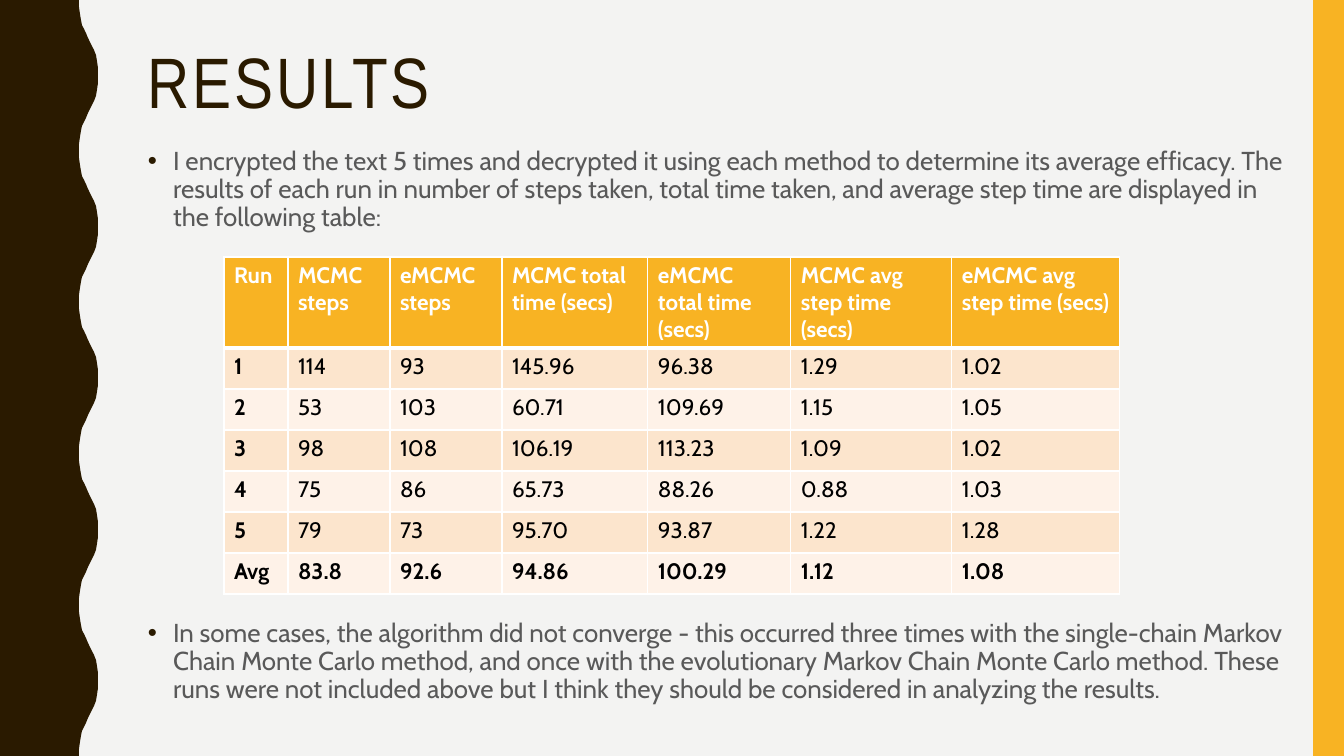
"""Build the results slide: wavy side band, two bullets and a table of runs."""
import pptx
import pptx.util
import pptx.dml.color
import pptx.enum.shapes
import pptx.enum.text
import pptx.oxml
import pptx.oxml.ns

RGB = pptx.dml.color.RGBColor
BROWN = RGB(0x2A, 0x1A, 0x00)
GOLD = RGB(0xF8, 0xB3, 0x23)
PAPER = RGB(0xF3, 0xF3, 0xF2)
GREY = RGB(0x59, 0x59, 0x59)
PEACH = RGB(0xFC, 0xE5, 0xCD)
CREAM = RGB(0xFE, 0xF2, 0xE8)
WHITE = RGB(0xFF, 0xFF, 0xFF)
BLACK = RGB(0x00, 0x00, 0x00)
PX = 914400 / 100.8
Pt = pptx.util.Pt
NS = pptx.oxml.ns.nsdecls("a")


def px(*sizes):
    return [round(size * PX) for size in sizes]


def add_text(left, top, width, height):
    frame = slide.shapes.add_textbox(*px(left, top, width, height)).text_frame
    frame.word_wrap = True
    frame.vertical_anchor = pptx.enum.text.MSO_ANCHOR.TOP
    return frame


deck = pptx.Presentation()
deck.slide_width, deck.slide_height = px(1344, 756)
slide = deck.slides.add_slide(deck.slide_layouts[6])
slide.background.fill.solid()
slide.background.fill.fore_color.rgb = PAPER

half = [(79, 0), (79, 7), (80, 14), (81, 20), (82, 25), (84, 29), (86, 33),
        (88, 38), (90, 42), (92, 46), (94, 50), (96, 55), (97, 61), (98, 68)]
wave = half + [(98, 76)] + [(x, 151 - y) for x, y in reversed(half[1:])]
edge = [(x, y + round(turn * 756 / 5)) for turn in range(5) for x, y in wave]
pen = slide.shapes.build_freeform(0, 0, scale=PX)
pen.add_line_segments(edge + [(79, 756), (0, 756)], close=True)
band = pen.convert_to_shape()
bar = slide.shapes.add_shape(
    pptx.enum.shapes.MSO_SHAPE.RECTANGLE, *px(1313, 0, 31, 756))
for shape, color in [(band, BROWN), (bar, GOLD)]:
    shape.shadow.inherit = False
    shape.fill.solid()
    shape.fill.fore_color.rgb = color
    shape.line.fill.background()

title = add_text(138, 42, 1122, 164).paragraphs[0]
title.line_spacing = 0.9
title.font.size = Pt(51)
title.font.name = "Arial Narrow"
title.font.color.rgb = BROWN
run = title.add_run()
run.text = "RESULTS"
run._r.get_or_add_rPr().set("spc", "200")

notes = [
    ("I encrypted the text 5 times and decrypted it using each method to "
     "determine its average efficacy. The results of each run in number of "
     "steps taken, total time taken, and average step time are displayed in "
     "the following table:", 7),
    ("In some cases, the algorithm did not converge - this occurred three "
     "times with the single-chain Markov Chain Monte Carlo method, and once "
     "with the evolutionary Markov Chain Monte Carlo method. These runs were "
     "not included above but I think they should be considered in analyzing "
     "the results.", 277),
]
body = add_text(138, 143, 1159, 595)
for i, (text, gap) in enumerate(notes):
    para = body.add_paragraph() if i else body.paragraphs[0]
    para.text = text
    para.line_spacing = 0.9
    para.space_before = Pt(gap)
    para.font.size = Pt(18.5)
    para.font.name = "Cabin"
    para.font.color.rgb = GREY
    props = para._p.get_or_add_pPr()
    props.set("marL", "228600")
    props.set("indent", "-228600")
    for xml in (f'<a:buClr {NS}><a:srgbClr val="{BROWN}"/></a:buClr>',
                f'<a:buFont {NS} typeface="Arial"/>',
                f'<a:buChar {NS} char="•"/>'):
        props.insert_element_before(
            pptx.oxml.parse_xml(xml), "a:tabLst", "a:defRPr", "a:extLst")

rows = [
    ["Run", "MCMC steps", "eMCMC steps", "MCMC total time (secs)",
     "eMCMC total time (secs)", "MCMC avg step time (secs)",
     "eMCMC avg step time (secs)"],
    ["1", "114", "93", "145.96", "96.38", "1.29", "1.02"],
    ["2", "53", "103", "60.71", "109.69", "1.15", "1.05"],
    ["3", "98", "108", "106.19", "113.23", "1.09", "1.02"],
    ["4", "75", "86", "65.73", "88.26", "0.88", "1.03"],
    ["5", "79", "73", "95.70", "93.87", "1.22", "1.28"],
    ["Avg", "83.8", "92.6", "94.86", "100.29", "1.12", "1.08"],
]
widths = [64, 102, 112, 146, 143, 161, 168]
heights = [91] + [41] * 6
table = slide.shapes.add_table(
    len(rows), len(widths), *px(224, 257, sum(widths), sum(heights))).table
for column, width in zip(table.columns, px(*widths)):
    column.width = width
for row, height in zip(table.rows, px(*heights)):
    row.height = height

for r, row in enumerate(rows):
    for c, text in enumerate(row):
        cell = table.cell(r, c)
        cell.text = text
        font = cell.text_frame.paragraphs[0].font
        font.size = Pt(16)
        font.name = "Cabin"
        font.bold = r in (0, 6) or c == 0
        font.color.rgb = BLACK if r else WHITE
        for side in "LRTB":
            thick = (r, side) in [(0, "B"), (1, "T")]
            cell._tc.get_or_add_tcPr().append(pptx.oxml.parse_xml(
                f'<a:ln{side} {NS} w="{Pt(3 if thick else 1)}"><a:solidFill>'
                f'<a:srgbClr val="{WHITE}"/></a:solidFill></a:ln{side}>'))
        cell.fill.solid()
        cell.fill.fore_color.rgb = (PEACH if r % 2 else CREAM) if r else GOLD

deck.save("out.pptx")
